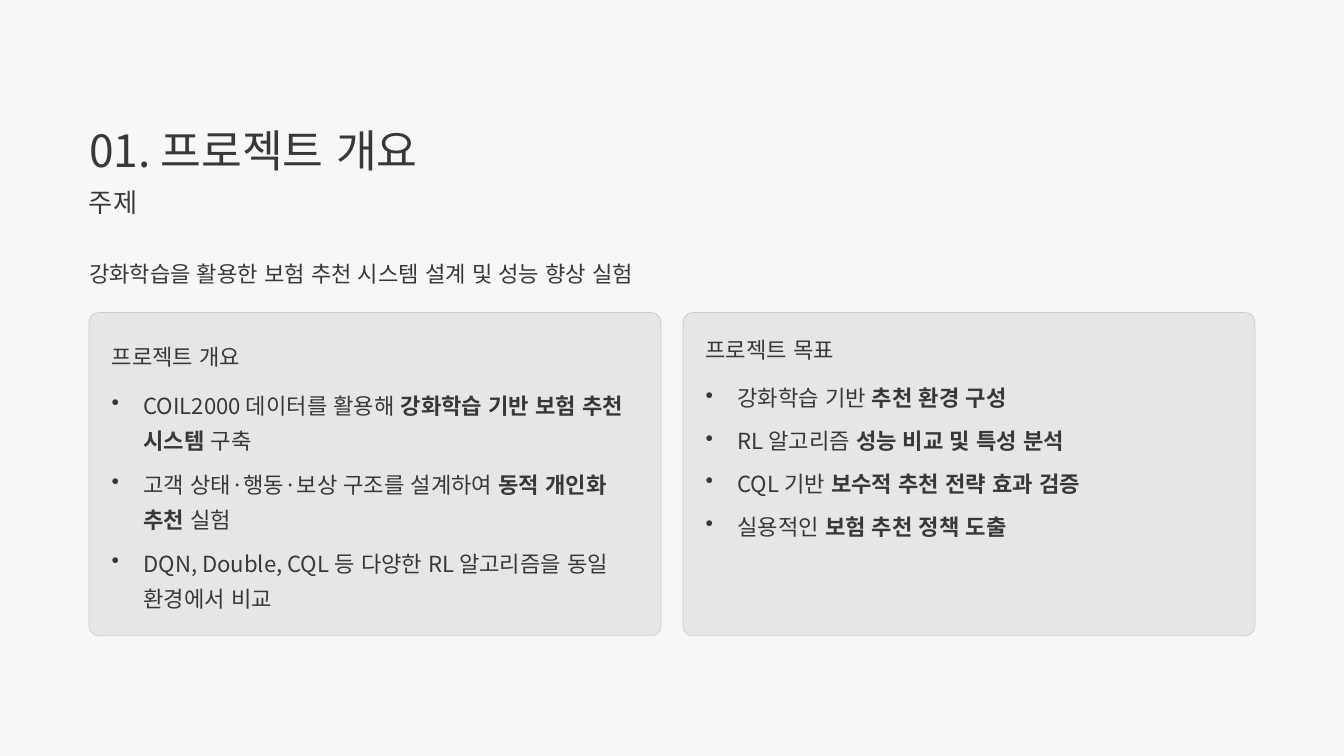
import dataclasses

import lxml.etree
import pptx
import pptx.dml.color
import pptx.enum.lang
import pptx.enum.shapes
import pptx.enum.text
import pptx.oxml.ns
import pptx.util

Inches = pptx.util.Inches
Pt = pptx.util.Pt
RGB = pptx.dml.color.RGBColor.from_string
qn = pptx.oxml.ns.qn


@dataclasses.dataclass(frozen=True)
class Theme:
    font: str = "Noto Sans CJK KR"
    background: str = "F7F7F7"
    ink: str = "383838"
    card: str = "E6E6E6"
    border: str = "CCCCCC"
    title: float = 38
    subtitle: float = 22.5
    body: float = 19
    leading: float = 30


THEME = Theme()

OVERVIEW = [
    [("COIL2000 데이터를 활용해 ", False), ("강화학습 기반 보험 추천 시스템", True), (" 구축", False)],
    [("고객 상태·행동·보상 구조를 설계하여 ", False), ("동적 개인화 추천", True), (" 실험", False)],
    [("DQN, Double, CQL 등 다양한 RL 알고리즘을 동일 환경에서 비교", False)],
]
GOALS = [
    [("강화학습 기반 ", False), ("추천 환경 구성", True)],
    [("RL 알고리즘 ", False), ("성능 비교 및 특성 분석", True)],
    [("CQL 기반 ", False), ("보수적 추천 전략 효과 검증", True)],
    [("실용적인 ", False), ("보험 추천 정책 도출", True)],
]


def write_text(sp, runs, size=THEME.body, leading=THEME.leading, bullet=False):
    tf = sp.text_frame
    tf.margin_left = tf.margin_top = tf.margin_right = tf.margin_bottom = 0
    tf.word_wrap = True
    tf.auto_size = pptx.enum.text.MSO_AUTO_SIZE.NONE
    tf.vertical_anchor = pptx.enum.text.MSO_ANCHOR.TOP
    p = tf.paragraphs[0]
    p.alignment = pptx.enum.text.PP_ALIGN.LEFT
    p.line_spacing = Pt(leading)
    if bullet:
        pPr = p._p.get_or_add_pPr()
        pPr.set("marL", str(Inches(0.38)))
        pPr.set("indent", str(-Inches(0.38)))
        lxml.etree.SubElement(pPr, qn("a:buChar")).set("char", "•")
    for text, bold in runs:
        r = p.add_run()
        r.text = text
        r.font.size = Pt(size)
        r.font.bold = bold
        r.font.name = THEME.font
        r.font.color.rgb = RGB(THEME.ink)
        r.font.language_id = pptx.enum.lang.MSO_LANGUAGE_ID.KOREAN
        ea = lxml.etree.SubElement(r._r.get_or_add_rPr(), qn("a:ea"))
        ea.set("typeface", THEME.font)


def add_text(s, left, top, width, height, runs, **style):
    sp = s.shapes.add_textbox(Inches(left), Inches(top), Inches(width), Inches(height))
    write_text(sp, runs, **style)


def add_header(s, left, top, width):
    title = s.shapes.title
    title.left, title.top = Inches(left), Inches(top)
    title.width, title.height = Inches(5.28), Inches(0.66)
    write_text(title, [("01. 프로젝트 개요", False)], size=THEME.title, leading=47.5)
    add_text(s, left, top + 0.76, 3.17, 0.4, [("주제", False)],
             size=THEME.subtitle, leading=28.5)
    add_text(s, left, top + 1.56, width, 0.42,
             [("강화학습을 활용한 보험 추천 시스템 설계 및 성능 향상 실험", False)])


def add_card(s, left, top, width, height, heading, items,
             heading_leading, list_top, item_height, pitch):
    sp = s.shapes.add_shape(pptx.enum.shapes.MSO_SHAPE.ROUNDED_RECTANGLE,
                            Inches(left), Inches(top), Inches(width), Inches(height))
    sp.adjustments[0] = 0.03
    sp.shadow.inherit = False
    sp.fill.solid()
    sp.fill.fore_color.rgb = RGB(THEME.card)
    sp.line.color.rgb = RGB(THEME.border)
    sp.line.width = Pt(0.6)
    pad = 0.27
    inner = width - 2 * pad
    add_text(s, left + pad, top + pad, inner, heading_leading / 72,
             [(heading, False)], leading=heading_leading)
    for i, runs in enumerate(items):
        add_text(s, left + pad, top + list_top + i * pitch, inner, item_height,
                 runs, bullet=True)


def main():
    prs = pptx.Presentation()
    prs.slide_width, prs.slide_height = Inches(16), Inches(9)
    s = prs.slides.add_slide(prs.slide_layouts.get_by_name("Title Only"))
    s.background.fill.solid()
    s.background.fill.fore_color.rgb = RGB(THEME.background)

    left, top, width, height, gap = 1.06, 3.72, 6.81, 3.85, 0.26
    add_header(s, left, 1.44, 2 * width + gap)
    add_card(s, left, top, width, height, "프로젝트 개요", OVERVIEW,
             heading_leading=30, list_top=0.85, item_height=0.85, pitch=0.94)
    add_card(s, left + width + gap, top, width, height, "프로젝트 목표", GOALS,
             heading_leading=23.5, list_top=0.76, item_height=0.42, pitch=0.51)
    prs.save("out.pptx")


if __name__ == "__main__":
    main()
